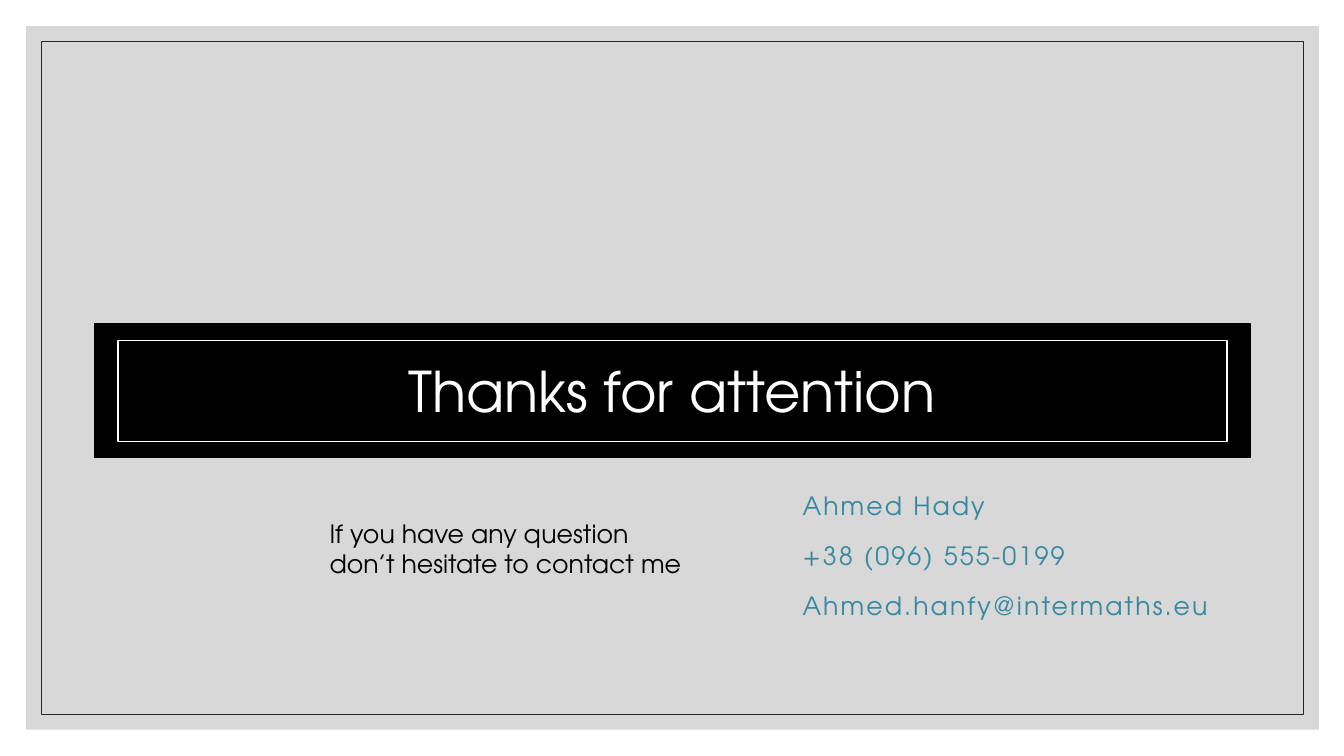
from lxml.etree import SubElement
from pptx import Presentation
from pptx.dml.color import RGBColor
from pptx.enum.shapes import MSO_SHAPE
from pptx.enum.text import MSO_ANCHOR, PP_ALIGN
from pptx.oxml.ns import qn
from pptx.util import Pt

PX = 9144  # EMU in one px, 100 px to the inch
FONT = "TeX Gyre Adventor"
BLACK = RGBColor(0x00, 0x00, 0x00)
WHITE = RGBColor(0xFF, 0xFF, 0xFF)
GREY = RGBColor(0xBF, 0xBF, 0xBF)
DARK = RGBColor(0x26, 0x26, 0x26)
TEAL = RGBColor(0x34, 0x88, 0xA0)

CONTACTS = [
    ("Ahmed Hady", (796, 488, 399, 27)),
    ("+38 (096) 555‐0199", (796, 531, 369, 40)),
    ("Ahmed.hanfy@intermaths.eu", (796, 587, 420, 27)),
]


def scale(box):
    return [side * PX for side in box]


def add_panel(slide, box, fill=None, line=None, width=1, alpha=None):
    """Add a rectangle; alpha is the fill's opacity in percent."""
    panel = slide.shapes.add_shape(MSO_SHAPE.RECTANGLE, *scale(box))
    panel.shadow.inherit = False
    if fill is None:
        panel.fill.background()
    else:
        panel.fill.solid()
        panel.fill.fore_color.rgb = fill
    if alpha is not None:
        color = panel._element.spPr.find(qn("a:solidFill"))[0]
        SubElement(color, qn("a:alpha"), val=str(alpha * 1000))
    if line is None:
        panel.line.fill.background()
    else:
        panel.line.color.rgb = line
        panel.line.width = Pt(width)


def add_text(slide, text, box, size, color, anchor=MSO_ANCHOR.MIDDLE):
    """Add a one-paragraph text box and return its frame."""
    frame = slide.shapes.add_textbox(*scale(box)).text_frame
    frame.word_wrap = True
    frame.vertical_anchor = anchor
    para = frame.paragraphs[0]
    para.text = text
    para.font.name = FONT
    para.font.size = Pt(size)
    para.font.color.rgb = color
    return frame


def add_title(slide):
    frame = add_text(slide, "Thanks for attention", (196, 316, 941, 150), 40, WHITE)
    para = frame.paragraphs[0]
    para.alignment = PP_ALIGN.CENTER
    para.line_spacing = 0.9


def add_contact(slide, text, box):
    """Add a contact line with wide letter spacing and no margins."""
    frame = add_text(slide, text, box, 18, TEAL)
    frame.margin_left = frame.margin_right = 0
    frame.margin_top = frame.margin_bottom = 0
    run = frame.paragraphs[0].runs[0]
    run._r.get_or_add_rPr().set("spc", "150")


def main():
    deck = Presentation()
    deck.slide_width, deck.slide_height = scale((1333, 750))
    slide = deck.slides.add_slide(deck.slide_layouts[6])

    add_panel(slide, (26, 26, 1282, 698), fill=GREY, alpha=60)
    add_panel(slide, (41, 41, 1252, 668), line=DARK, width=0.5)
    add_panel(slide, (94, 321, 1146, 133), fill=BLACK, line=BLACK)
    add_panel(slide, (117, 338, 1100, 100), line=WHITE)

    add_title(slide)
    for text, box in CONTACTS:
        add_contact(slide, text, box)
    add_text(slide, "If you have any question don’t hesitate to contact me",
             (317, 509, 379, 71), 18, BLACK, MSO_ANCHOR.TOP)

    deck.save("out.pptx")


if __name__ == "__main__":
    main()
